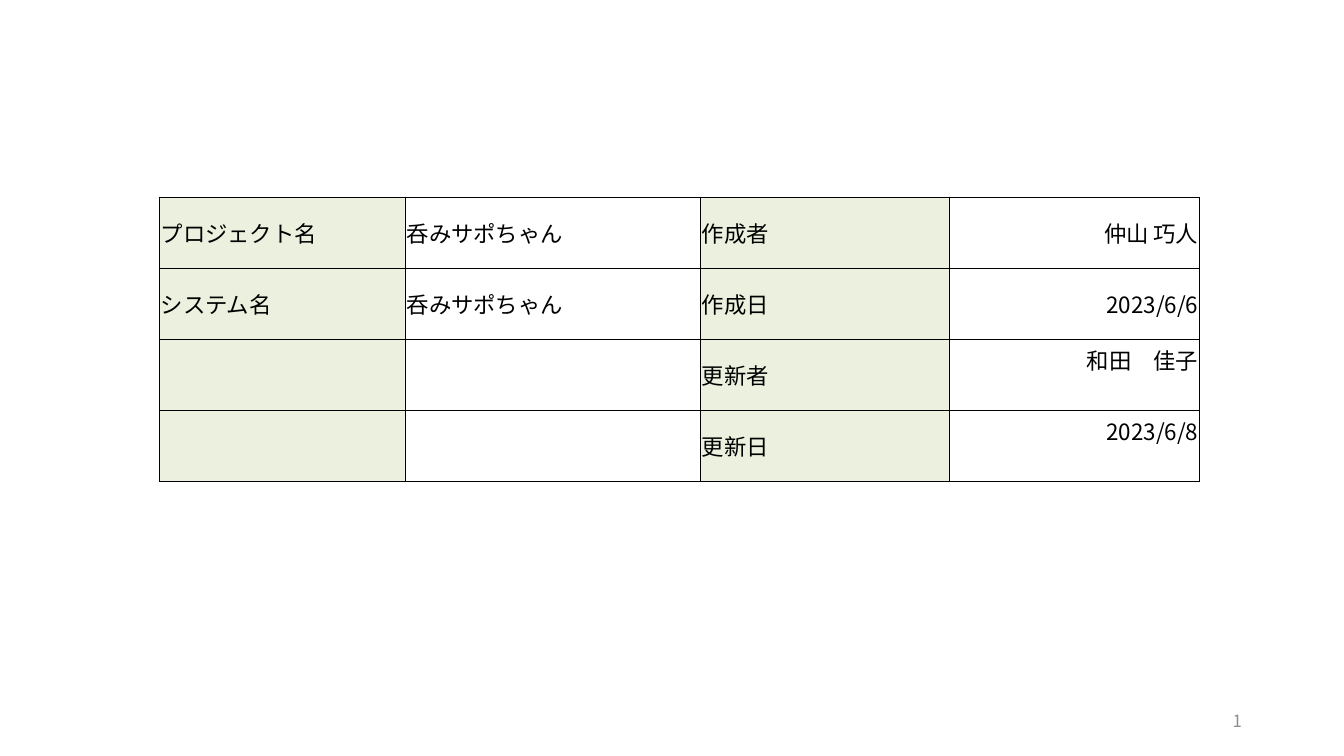
from lxml import etree
from pptx import Presentation
from pptx.dml.color import RGBColor
from pptx.enum.text import MSO_ANCHOR, PP_ALIGN
from pptx.oxml.ns import qn
from pptx.util import Cm, Pt

LEFT, RIGHT = PP_ALIGN.LEFT, PP_ALIGN.RIGHT
TOP, MIDDLE = MSO_ANCHOR.TOP, MSO_ANCHOR.MIDDLE

# Content
PROJECT_ROWS = [
    ("プロジェクト名", "呑みサポちゃん", "作成者", "仲山 巧人"),
    ("システム名", "呑みサポちゃん", "作成日", "2023/6/6"),
    ("", "", "更新者", "和田　佳子"),
    ("", "", "更新日", "2023/6/8"),
]
PAGE_NUMBER = "1"

# Style
FONT = "Noto Sans CJK JP"
BLACK = RGBColor(0x00, 0x00, 0x00)
GREY = RGBColor(0x8C, 0x8C, 0x8C)
LABEL_GREEN = RGBColor(0xEB, 0xF1, 0xDE)
COLUMN_WIDTHS = [Cm(6.2), Cm(7.44), Cm(6.27), Cm(6.3)]
ROW_HEIGHT = Cm(1.79)
LABEL_COLUMNS = (0, 2)
DATA_COLUMN = 3
FIRST_UPDATE_ROW = 2


def add_text(paragraph, text, size, color, alignment):
    paragraph.alignment = alignment
    run = paragraph.add_run()
    run.text = text
    run.font.name = FONT
    run.font.size = Pt(size)
    run.font.color.rgb = color
    east_asian = etree.SubElement(run.font._element, qn("a:ea"))
    east_asian.set("typeface", FONT)


def add_borders(cell):
    properties = cell._tc.get_or_add_tcPr()
    for side in ("a:lnL", "a:lnR", "a:lnT", "a:lnB"):
        line = etree.SubElement(properties, qn(side), w=str(Pt(0.5)))
        fill = etree.SubElement(line, qn("a:solidFill"))
        etree.SubElement(fill, qn("a:srgbClr"), val=str(BLACK))


def format_cell(cell, row, column):
    add_borders(cell)
    if column in LABEL_COLUMNS:
        cell.fill.solid()
        cell.fill.fore_color.rgb = LABEL_GREEN
    else:
        cell.fill.background()
    # The update values sit near the top of their cells
    raised = column == DATA_COLUMN and row >= FIRST_UPDATE_ROW
    cell.vertical_anchor = TOP if raised else MIDDLE
    cell.margin_left = cell.margin_right = Cm(0.03)
    cell.margin_top = Cm(0.12) if raised else Cm(0.03)
    cell.margin_bottom = 0


def add_project_table(slide):
    frame = slide.shapes.add_table(
        len(PROJECT_ROWS), len(COLUMN_WIDTHS), Cm(4.02), Cm(4.96),
        sum(COLUMN_WIDTHS), ROW_HEIGHT * len(PROJECT_ROWS))
    table = frame.table
    table.first_row = table.horz_banding = False
    for column, width in zip(table.columns, COLUMN_WIDTHS):
        column.width = width
    for row, values in enumerate(PROJECT_ROWS):
        table.rows[row].height = ROW_HEIGHT
        for column, text in enumerate(values):
            cell = table.cell(row, column)
            format_cell(cell, row, column)
            if text:
                alignment = RIGHT if column == DATA_COLUMN else LEFT
                add_text(cell.text_frame.paragraphs[0], text, 16, BLACK, alignment)


def add_page_number(slide):
    box = slide.shapes.add_textbox(Cm(23.93), Cm(17.65), Cm(7.62), Cm(1.02))
    box.text_frame.word_wrap = True
    box.text_frame.vertical_anchor = MIDDLE
    add_text(box.text_frame.paragraphs[0], PAGE_NUMBER, 12, GREY, RIGHT)


def main():
    presentation = Presentation()
    presentation.slide_width = Cm(33.87)
    presentation.slide_height = Cm(19.05)
    slide = presentation.slides.add_slide(presentation.slide_layouts[6])
    add_page_number(slide)
    add_project_table(slide)
    presentation.save("out.pptx")


if __name__ == "__main__":
    main()
